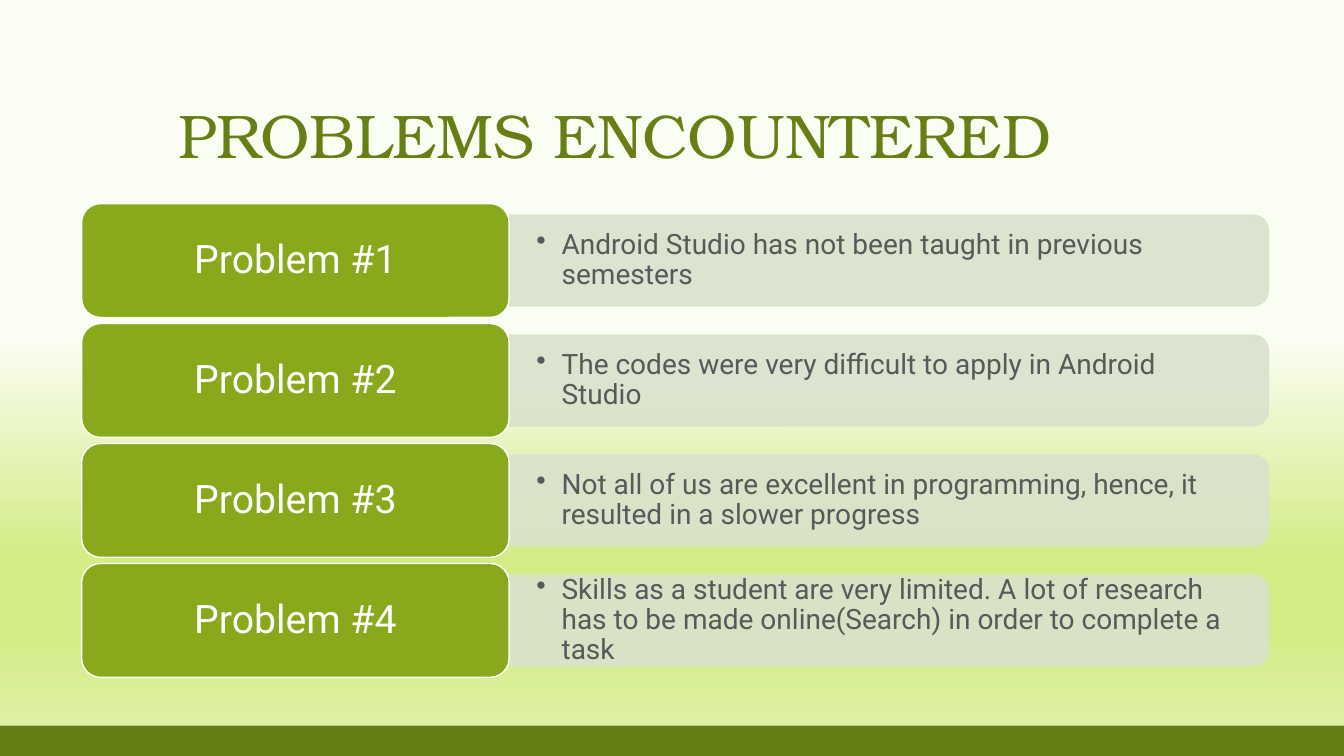
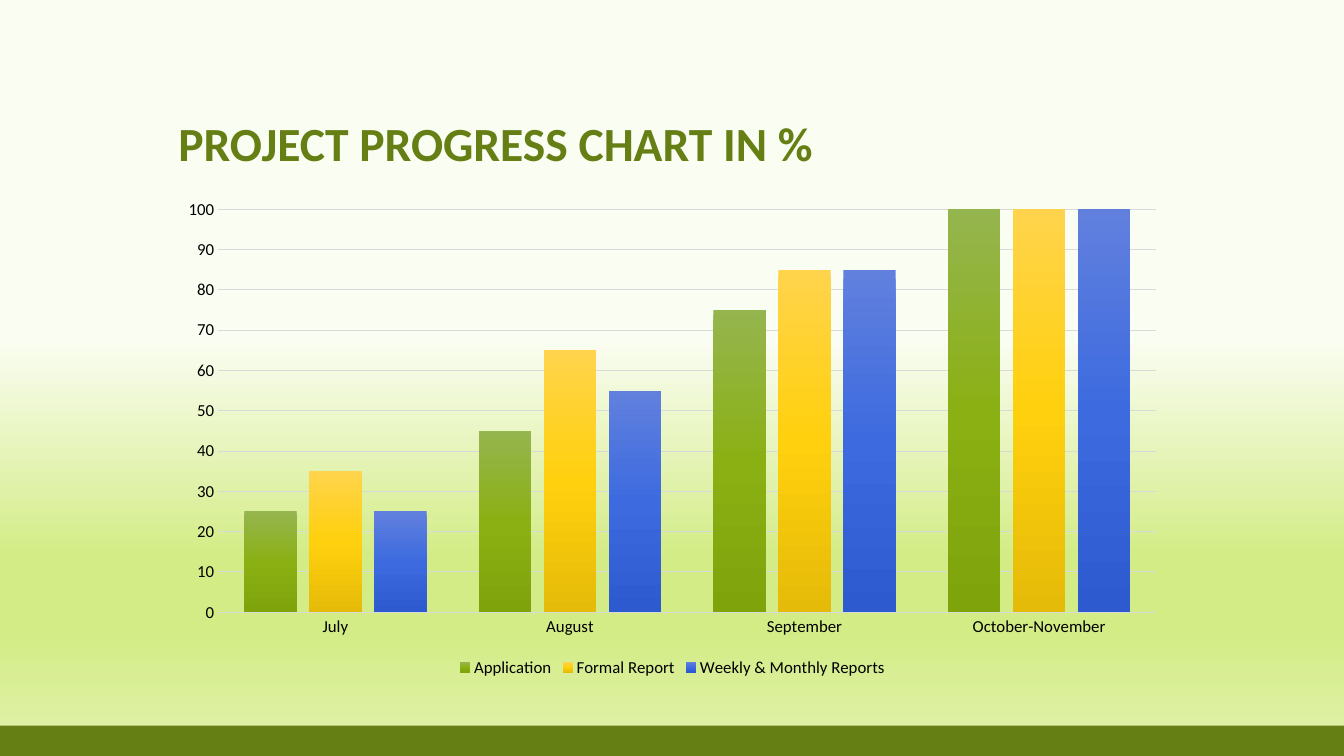
from dataclasses import dataclass

from pptx import Presentation
from pptx.chart.data import CategoryChartData
from pptx.dml.color import RGBColor
from pptx.enum.chart import XL_CHART_TYPE as ChartType
from pptx.enum.chart import XL_LEGEND_POSITION as LegendPos
from pptx.enum.chart import XL_TICK_MARK as TickMark
from pptx.enum.shapes import MSO_SHAPE as Shape
from pptx.enum.text import MSO_ANCHOR as Anchor
from pptx.enum.text import PP_ALIGN as Align
from pptx.oxml.ns import qn
from pptx.oxml.xmlchemy import OxmlElement
from pptx.util import Inches, Pt

# Colours and fonts
DARK_GREEN = RGBColor(0x65, 0x7F, 0x14)
GREEN = RGBColor(0x87, 0xA9, 0x1B)
PALE_GREEN = RGBColor(0xD9, 0xE2, 0xCD)
WHITE = RGBColor(0xFF, 0xFF, 0xFF)
BLACK = RGBColor(0x00, 0x00, 0x00)
GRAY = RGBColor(0x59, 0x59, 0x59)
GRID_GRAY = RGBColor(0xD9, 0xD9, 0xD9)
LIME = RGBColor(0xD3, 0xEC, 0x85)
SERIF, SANS, BODY = "TeX Gyre Bonum", "Calibri", "Roboto"

Stops = list[tuple[int, RGBColor]]
BACKGROUND: Stops = [
    (45, RGBColor(0xFA, 0xFD, 0xF1)),
    (74, LIME),
    (83, LIME),
    (100, RGBColor(0xE2, 0xF2, 0xAE)),
]

# Geometry in inches
SLIDE_W, SLIDE_H, BAND_H = 13.33, 7.5, 0.3
LEFT, CONTENT_W = 1.67, 10
ROW_TOP, ROW_PITCH = 2.02, 1.19
LABEL_X, LABEL_W, LABEL_H = 0.81, 4.24, 1.13
PANEL_W, PANEL_H = 7.53, 0.9
NOTE_W, NOTE_H = 7.49, 0.82


@dataclass
class Problem:
    label: str
    note: str


@dataclass
class Series:
    name: str
    values: list[int]
    stops: Stops


PROBLEMS = [
    Problem("Problem #1", "Android Studio has not been taught in previous semesters"),
    Problem("Problem #2", "The codes were very difficult to apply in Android Studio"),
    Problem("Problem #3", "Not all of us are excellent in programming, hence, "
                          "it resulted in a slower progress"),
    Problem("Problem #4", "Skills as a student are very limited. A lot of research "
                          "has to be made online(Search) in order to complete a task"),
]

MONTHS = ["July", "August", "September", "October-November"]


def column_stops(*colors: str) -> Stops:
    return [(pos, RGBColor.from_string(c)) for pos, c in zip((0, 50, 100), colors)]


PROGRESS = [
    Series("Application", [25, 45, 75, 100],
           column_stops("95B54E", "8BB014", "7FA30B")),
    Series("Formal Report", [35, 65, 85, 100],
           column_stops("FFD44C", "FFD00D", "E5BB09")),
    Series("Weekly & Monthly Reports", [25, 55, 85, 100],
           column_stops("6180DE", "3D6BDF", "2D5BCF")),
]


# Shared helpers
def set_gradient(fill, owner, stops: Stops) -> None:
    """Fill from top to bottom; owner is the XML element that holds the fill."""
    fill.gradient()
    fill.gradient_angle = 270
    gs_list = next(owner.iter(qn("a:gsLst")))
    for gs in list(gs_list):
        gs_list.remove(gs)
    for pos, color in stops:
        gs = OxmlElement("a:gs")
        gs.set("pos", str(pos * 1000))
        clr = OxmlElement("a:srgbClr")
        clr.set("val", str(color))
        gs.append(clr)
        gs_list.append(gs)


def set_opacity(sp, percent: int) -> None:
    for clr in sp._element.spPr.iter(qn("a:srgbClr")):
        alpha = OxmlElement("a:alpha")
        alpha.set("val", str(percent * 1000))
        clr.append(alpha)


def add_bullet(p, indent: float) -> None:
    props = p._p.get_or_add_pPr()
    props.set("marL", str(Inches(indent)))
    props.set("indent", str(-Inches(indent)))
    bullet = OxmlElement("a:buChar")
    bullet.set("char", "•")
    props.append(bullet)


def add_box(slide, kind, x: float, y: float, w: float, h: float,
            color: RGBColor, line: RGBColor | None = None):
    sp = slide.shapes.add_shape(kind, Inches(x), Inches(y), Inches(w), Inches(h))
    sp.shadow.inherit = False
    sp.fill.solid()
    sp.fill.fore_color.rgb = color
    if line is None:
        sp.line.fill.background()
    else:
        sp.line.color.rgb = line
        sp.line.width = Pt(1)
    return sp


def write(sp, text: str, font: str, size: int, color: RGBColor, anchor: Anchor,
          insets: tuple[float, float] = (0.1, 0.05), align: Align = Align.LEFT,
          bold: bool = False, indent: float = 0) -> None:
    tf = sp.text_frame
    tf.word_wrap = True
    tf.vertical_anchor = anchor
    tf.margin_left = tf.margin_right = Inches(insets[0])
    tf.margin_top = tf.margin_bottom = Inches(insets[1])
    p = tf.paragraphs[0]
    p.text = text
    p.alignment = align
    p.line_spacing = 0.9
    if indent:
        add_bullet(p, indent)
    p.font.name, p.font.size, p.font.bold = font, Pt(size), bold
    p.font.color.rgb = color


def add_text_box(slide, x: float, y: float, w: float, h: float):
    return slide.shapes.add_textbox(Inches(x), Inches(y), Inches(w), Inches(h))


def add_base_slide(prs, title: str, font: str, size: int, bold: bool = False):
    slide = prs.slides.add_slide(prs.slide_layouts[6])
    set_gradient(slide.background.fill, slide._element, BACKGROUND)
    add_box(slide, Shape.RECTANGLE, 0, SLIDE_H - BAND_H, SLIDE_W, BAND_H, DARK_GREEN)
    box = add_text_box(slide, LEFT, 0.5, CONTENT_W, 1.25)
    write(box, title, font, size, DARK_GREEN, Anchor.BOTTOM, bold=bold)
    return slide


# Problem list
def add_problem(slide, problem: Problem, y: float) -> None:
    panel_x = LABEL_X + LABEL_W
    mid_y = y + LABEL_H / 2
    # The panel stands upright before it is turned by 90 degrees
    panel = add_box(slide, Shape.ROUND_2_SAME_RECTANGLE,
                    panel_x + (PANEL_W - PANEL_H) / 2, mid_y - PANEL_W / 2,
                    PANEL_H, PANEL_W, PALE_GREEN, PALE_GREEN)
    panel.rotation = 90
    set_opacity(panel, 90)
    note = add_text_box(slide, panel_x, mid_y - NOTE_H / 2, NOTE_W, NOTE_H)
    write(note, problem.note, BODY, 20, GRAY, Anchor.MIDDLE, (0.27, 0.14), indent=0.25)
    label = add_box(slide, Shape.ROUNDED_RECTANGLE, LABEL_X, y, LABEL_W, LABEL_H,
                    GREEN, WHITE)
    write(label, problem.label, BODY, 28, WHITE, Anchor.MIDDLE, (0.18, 0.12),
          Align.CENTER)


# Progress chart
def style_font(font, size: int, color: RGBColor) -> None:
    font.name, font.size = SANS, Pt(size)
    font.color.rgb = color


def style_line(line) -> None:
    line.color.rgb = GRID_GRAY
    line.width = Pt(0.75)


def add_progress_chart(slide) -> None:
    data = CategoryChartData()
    data.categories = MONTHS
    for series in PROGRESS:
        data.add_series(series.name, series.values)
    chart = slide.shapes.add_chart(
        ChartType.COLUMN_CLUSTERED, Inches(LEFT), Inches(1.88),
        Inches(CONTENT_W), Inches(4.88), data).chart
    style_font(chart.font, 10, GRAY)
    chart.has_title = False
    chart.has_legend = True
    chart.legend.position = LegendPos.BOTTOM
    chart.legend.include_in_layout = False
    style_font(chart.legend.font, 12, BLACK)

    cat_axis, val_axis = chart.category_axis, chart.value_axis
    for axis in (cat_axis, val_axis):
        axis.major_tick_mark = axis.minor_tick_mark = TickMark.NONE
        style_font(axis.tick_labels.font, 12, BLACK)
    style_line(cat_axis.format.line)
    val_axis.format.line.fill.background()
    val_axis.minimum_scale, val_axis.maximum_scale = 0, 100
    val_axis.major_unit = 10
    style_line(val_axis.major_gridlines.format.line)

    plot = chart.plots[0]
    plot.gap_width, plot.overlap = 100, -24
    plot.vary_by_categories = False
    for drawn, series in zip(plot.series, PROGRESS):
        drawn.invert_if_negative = False
        set_gradient(drawn.format.fill, drawn._element, series.stops)


def main() -> None:
    prs = Presentation()
    prs.slide_width, prs.slide_height = Inches(SLIDE_W), Inches(SLIDE_H)

    slide = add_base_slide(prs, "PROBLEMS ENCOUNTERED", SERIF, 44)
    for i, problem in enumerate(PROBLEMS):
        add_problem(slide, problem, ROW_TOP + i * ROW_PITCH)

    slide = add_base_slide(prs, "PROJECT PROGRESS CHART IN %", SANS, 34, bold=True)
    add_progress_chart(slide)

    prs.save("out.pptx")


if __name__ == "__main__":
    main()
